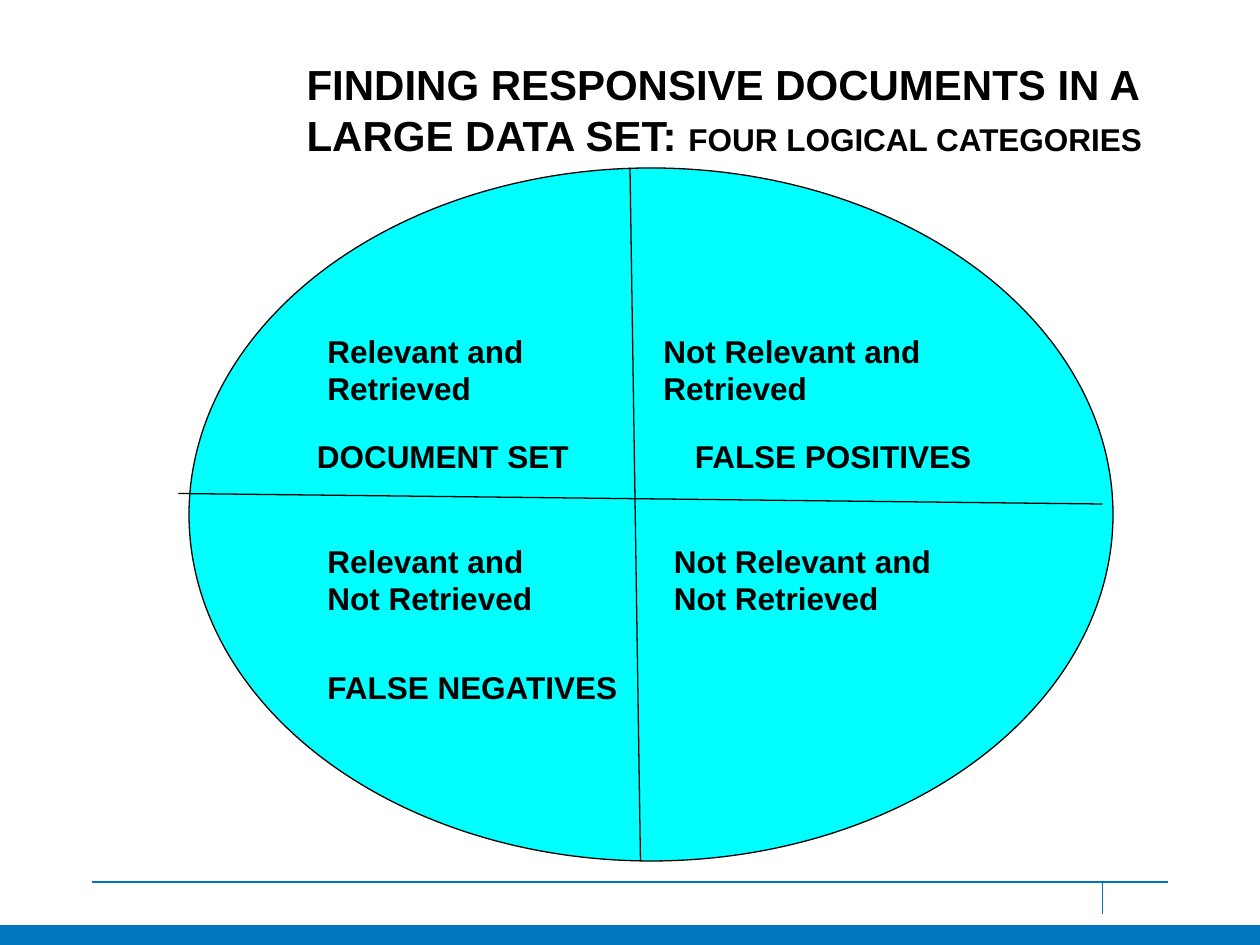
"""Build a slide showing the four logical categories of document retrieval."""
import pptx
import pptx.dml.color
import pptx.enum.shapes
import pptx.enum.text
import pptx.oxml
import pptx.oxml.ns
import pptx.util

COLORS = {"ink": "000000", "set": "00FFFF", "brand": "0076C0"}
COLUMNS, ROWS = 120, 90
UNIT = pptx.util.Inches(10) // COLUMNS
FRAME = {
    "word_wrap": True,
    "vertical_anchor": pptx.enum.text.MSO_ANCHOR.TOP,
    "auto_size": pptx.enum.text.MSO_AUTO_SIZE.SHAPE_TO_FIT_TEXT,
}
FONT = {"name": "Arial", "bold": True}
SHAPES = pptx.enum.shapes.MSO_SHAPE
TITLE = [
    ("FINDING RESPONSIVE DOCUMENTS IN A LARGE DATA SET: ", 24),
    ("FOUR LOGICAL CATEGORIES", 18),
]
LABELS = [
    ("Not Relevant and Retrieved", 62, 31, 27, 8.4),
    ("Relevant and Retrieved", 30, 31, 25, 8.4),
    ("Relevant and Not Retrieved", 30, 51, 26, 8.4),
    ("Not Relevant and Not Retrieved", 63, 51, 29, 8.4),
    ("DOCUMENT SET", 29, 41, 29, 4.8),
    ("FALSE POSITIVES", 65, 41, 31, 4.8),
    ("FALSE NEGATIVES", 30, 63, 32, 4.8),
]


def grid(*cells):
    """Convert grid cells to slide lengths."""
    return [pptx.util.Emu(round(c * UNIT)) for c in cells]


def color(key):
    """Return the named palette colour."""
    return pptx.dml.color.RGBColor.from_string(COLORS[key])


def apply(target, values):
    """Set each attribute of a dict of format values."""
    for name, value in values.items():
        setattr(target, name, value)


def write(sp, runs):
    """Fill a text shape with one paragraph of sized runs."""
    tf = sp.text_frame
    apply(tf, FRAME)
    p = tf.paragraphs[0]
    p.alignment = pptx.enum.text.PP_ALIGN.LEFT
    for text, size in runs:
        r = p.add_run()
        r.text = text
        apply(r.font, {**FONT, "size": pptx.util.Pt(size)})
        r.font.color.rgb = color("ink")


def add_title(s):
    """Place and fill the title placeholder."""
    sp = s.shapes.title
    box = zip(("left", "top", "width", "height"), grid(28, 5, 88, 10.9))
    apply(sp, dict(box))
    write(sp, TITLE)


def add_label(s, text, *box):
    """Add a category label."""
    write(s.shapes.add_textbox(*grid(*box)), [(text, 18)])


def add_block(s, kind, box, fill, line=None):
    """Add a filled preset shape, outlined when a line colour is given."""
    sp = s.shapes.add_shape(kind, *grid(*box))
    sp.shadow.inherit = False
    sp.fill.solid()
    sp.fill.fore_color.rgb = color(fill)
    if line:
        sp.line.color.rgb = color(line)
        sp.line.width = pptx.util.Pt(0.75)
    else:
        sp.line.fill.background()


def add_rule(s, ends, key, width):
    """Add a straight line between two grid points."""
    kind = pptx.enum.shapes.MSO_CONNECTOR.STRAIGHT
    sp = s.shapes.add_connector(kind, *grid(*ends))
    sp.line.color.rgb = color(key)
    sp.line.width = pptx.util.Pt(width)
    effects = pptx.oxml.parse_xml(
        "<a:effectLst %s/>" % pptx.oxml.ns.nsdecls("a"))
    sp._element.spPr.append(effects)


def main():
    """Build and save the slide."""
    prs = pptx.Presentation()
    prs.slide_width, prs.slide_height = grid(COLUMNS, ROWS)
    s = prs.slides.add_slide(prs.slide_layouts[5])
    for ends in ((8.75, 84, 111.25, 84), (105, 84, 105, 87)):
        add_rule(s, ends, "brand", 1)
    add_block(s, SHAPES.RECTANGLE, (0, 88.1, COLUMNS, 1.9), "brand")
    add_block(s, SHAPES.OVAL, (18, 16, 88, 66), "set", "ink")
    for ends in ((60, 16, 61, 82), (17, 47, 105, 48)):
        add_rule(s, ends, "ink", 0.75)
    add_title(s)
    for label in LABELS:
        add_label(s, *label)
    prs.save("out.pptx")


if __name__ == "__main__":
    main()
